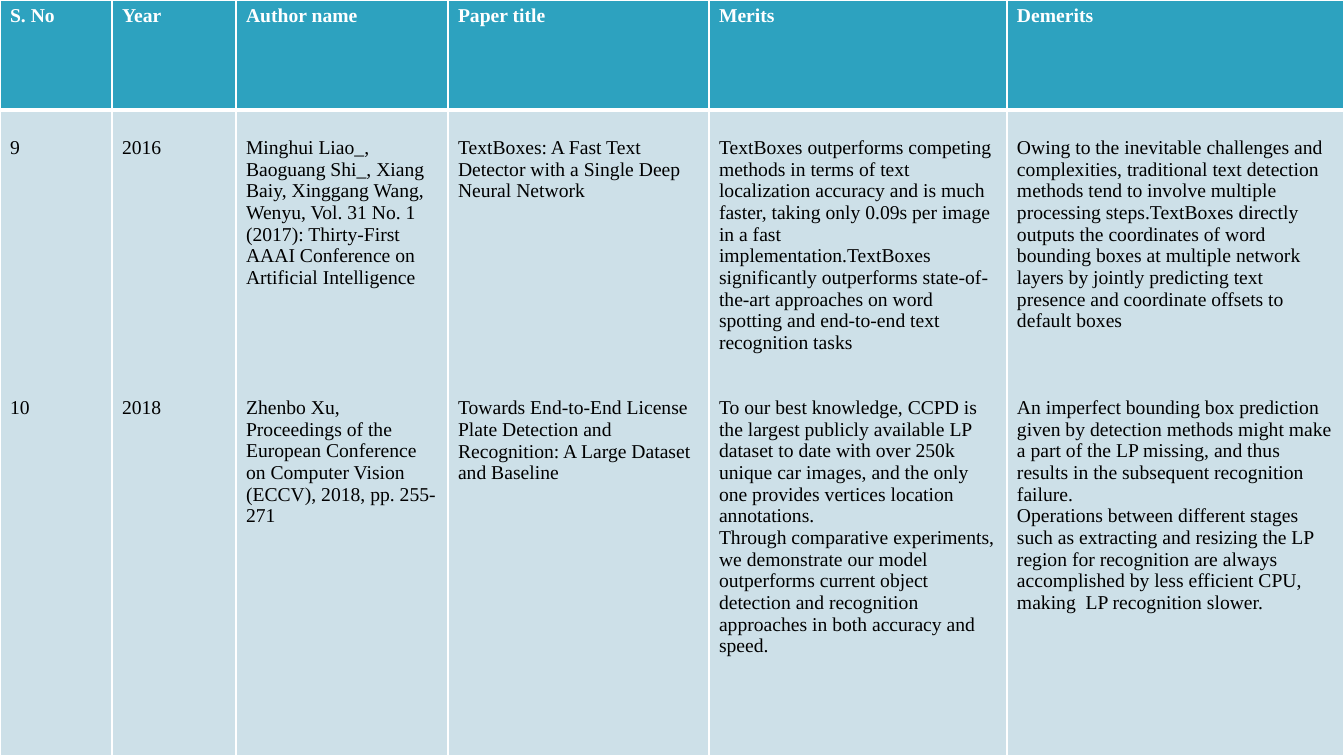
from pptx import Presentation, util as u
from pptx.dml.color import RGBColor
from pptx.oxml import parse_xml
from pptx.oxml.ns import nsdecls

THEME = {
    "font": "Times New Roman", "size": u.Pt(14), "border": "FFFFFF",
    "head_fill": "2DA2BF", "head_text": "FFFFFF",
    "body_fill": "CDE0E8", "body_text": "000000",
}
LINE = 21.7         # pitch of one text line, px
ENTRY_LINES = 12    # lines from the first paper's top to the second's


def px(n):
    return u.Emu(round(n * 914400 / 100.8))


def style_cell(cell, paragraphs, kind, bottom_width):
    """Fill a cell, write its paragraphs and draw its four borders."""
    cell.fill.solid()
    cell.fill.fore_color.rgb = RGBColor.from_string(THEME[kind + "_fill"])
    frame = cell.text_frame
    for i, (words, blank_lines) in enumerate(paragraphs):
        para = frame.add_paragraph() if i else frame.paragraphs[0]
        para.space_before = px(blank_lines * LINE)
        run = para.add_run()
        run.text = words
        run.font.name = THEME["font"]
        run.font.size = THEME["size"]
        run.font.bold = kind == "head"
        run.font.color.rgb = RGBColor.from_string(THEME[kind + "_text"])
    props = cell._tc.get_or_add_tcPr()
    for i, side in enumerate(("lnL", "lnR", "lnT", "lnB")):
        width = u.Pt(bottom_width if side == "lnB" else 1)
        props.insert(i, parse_xml(
            f'<a:{side} {nsdecls("a")} w="{width}"><a:solidFill>'
            f'<a:srgbClr val="{THEME["border"]}"/></a:solidFill></a:{side}>'))


# heading, width in px, first paper, its line count, second paper's paragraphs
COLUMNS = [
    ("S. No", 112, "9", 1, ["10"]),
    ("Year", 124, "2016", 1, ["2018"]),
    ("Author name", 212,
     "Minghui Liao_, Baoguang Shi_, Xiang Baiy, Xinggang Wang, Wenyu, "
     "Vol. 31 No. 1 (2017): Thirty-First AAAI Conference on Artificial "
     "Intelligence", 7,
     ["Zhenbo Xu, Proceedings of the European Conference on Computer Vision "
      "(ECCV), 2018, pp. 255-271"]),
    ("Paper title", 261,
     "TextBoxes: A Fast Text Detector with a Single Deep Neural Network", 3,
     ["Towards End-to-End License Plate Detection and Recognition: A Large "
      "Dataset and Baseline"]),
    ("Merits", 298,
     "TextBoxes outperforms competing methods in terms of text localization "
     "accuracy and is much faster, taking only 0.09s per image in a fast "
     "implementation.TextBoxes significantly outperforms state-of-the-art "
     "approaches on word spotting and end-to-end text recognition tasks", 10,
     ["To our best knowledge, CCPD is the largest publicly available LP "
      "dataset to date with over 250k unique car images, and the only one "
      "provides vertices location annotations.",
      "Through comparative experiments, we demonstrate our model outperforms "
      "current object detection and recognition approaches in both accuracy "
      "and speed."]),
    ("Demerits", 337,
     "Owing to the inevitable challenges and complexities, traditional text "
     "detection methods tend to involve multiple processing steps.TextBoxes "
     "directly outputs the coordinates of word bounding boxes at multiple "
     "network layers by jointly predicting text presence and coordinate "
     "offsets to default boxes", 9,
     ["An imperfect bounding box prediction given by detection methods might "
      "make a part of the LP missing, and thus results in the subsequent "
      "recognition failure.",
      "Operations between different stages such as extracting and resizing "
      "the LP region for recognition are always accomplished by less "
      "efficient CPU, making  LP recognition slower."]),
]
ROW_HEIGHTS = [110, 646]

prs = Presentation()
prs.slide_width, prs.slide_height = px(1344), px(756)
slide = prs.slides.add_slide(prs.slide_layouts[6])
survey = slide.shapes.add_table(
    len(ROW_HEIGHTS), len(COLUMNS), 0, 0, px(1344), px(756)).table
survey.horz_banding = False
for row, height in zip(survey.rows, ROW_HEIGHTS):
    row.height = px(height)

for col, (heading, width, first, lines, second) in enumerate(COLUMNS):
    survey.columns[col].width = px(width)
    style_cell(survey.cell(0, col), [(heading, 0)], "head", 3)
    papers = [(first, 0), (second[0], ENTRY_LINES - lines)]
    papers += [(words, 0) for words in second[1:]]
    body = survey.cell(1, col)
    body.margin_top = px(27)
    style_cell(body, papers, "body", 1)

prs.save("out.pptx")
